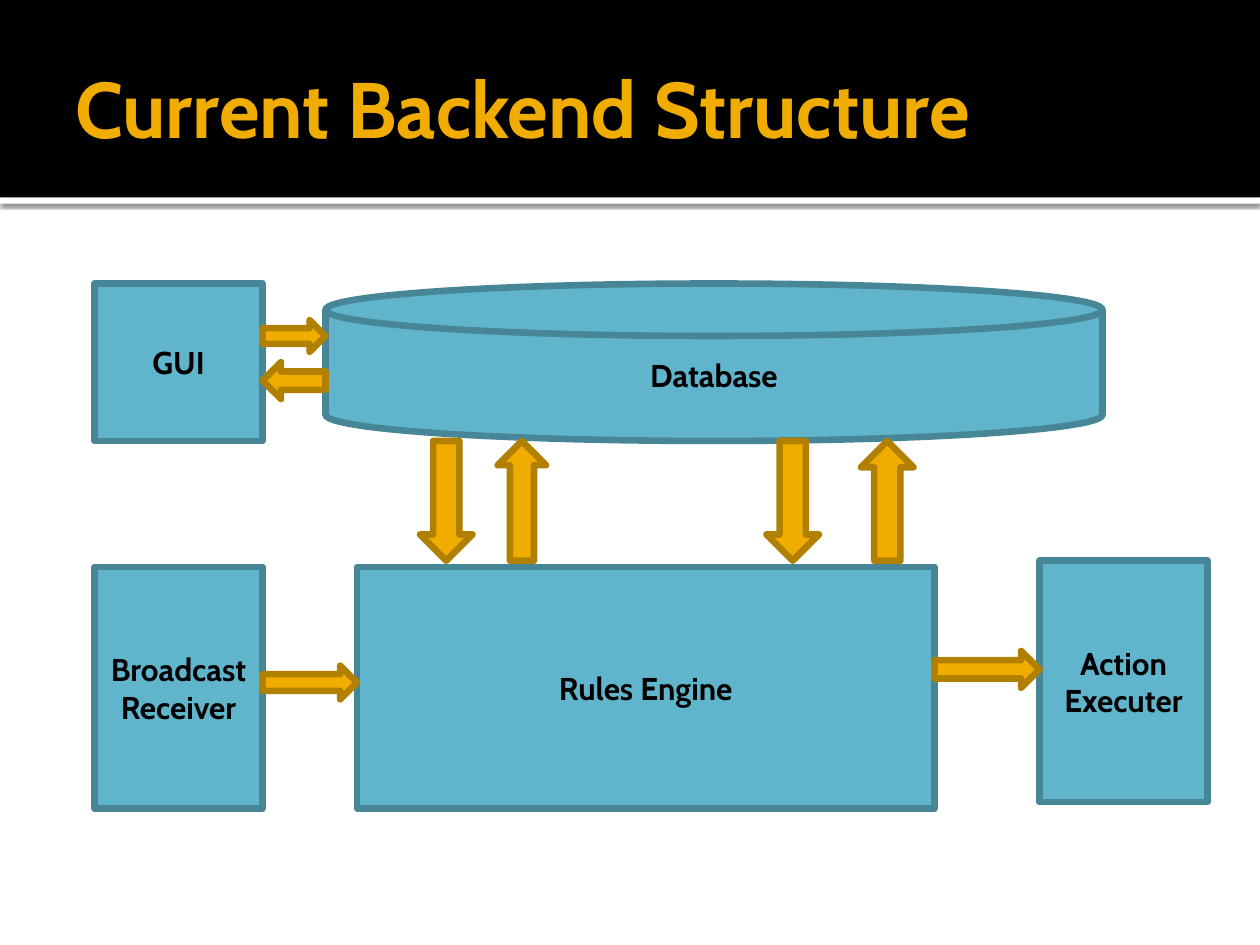
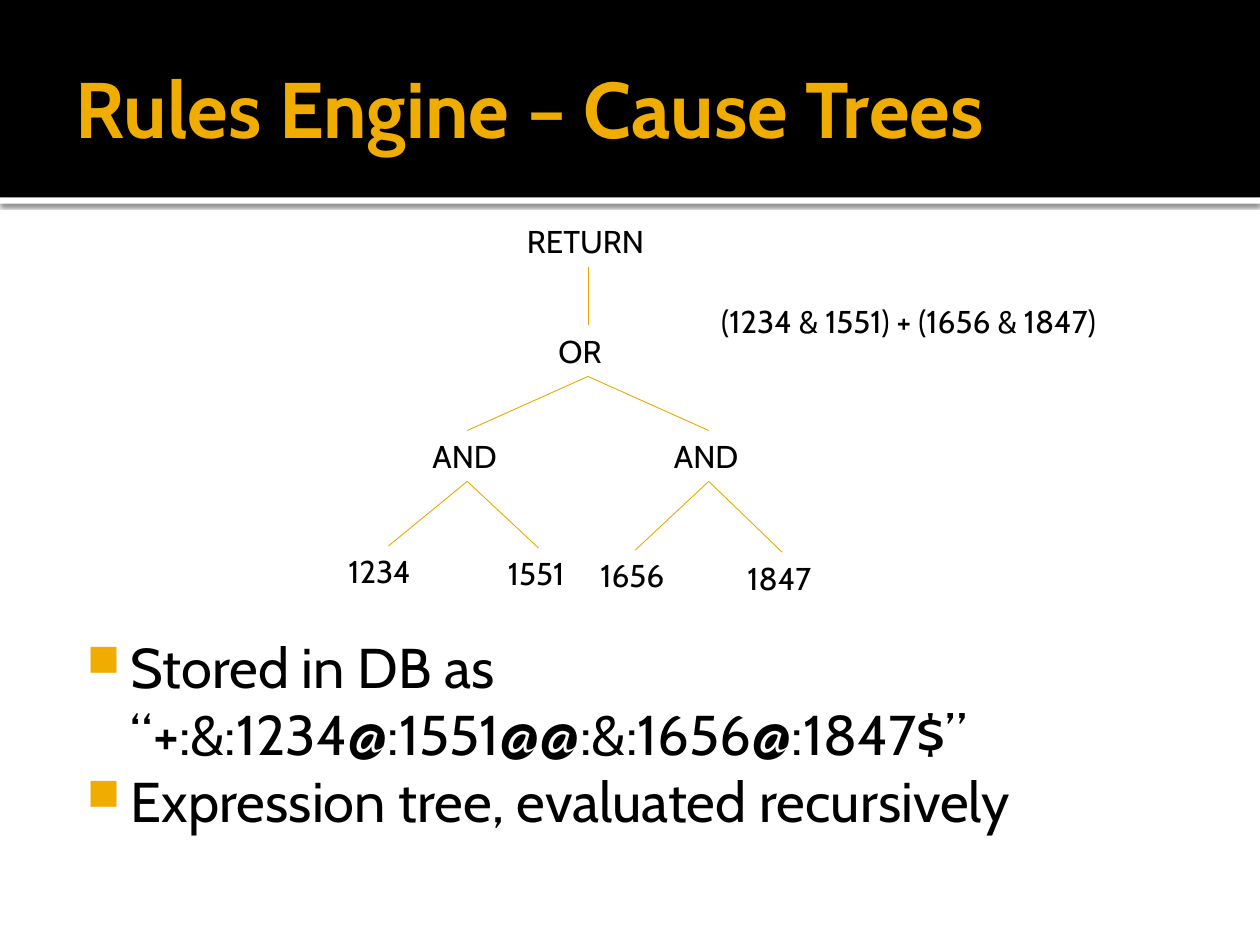
from lxml import etree
from pptx import Presentation
from pptx.dml.color import RGBColor
from pptx.enum.shapes import MSO_CONNECTOR, MSO_SHAPE
from pptx.enum.text import MSO_ANCHOR, MSO_AUTO_SIZE, PP_ALIGN
from pptx.oxml.ns import qn
from pptx.util import Inches, Pt

RECT, DISK = MSO_SHAPE.RECTANGLE, MSO_SHAPE.FLOWCHART_MAGNETIC_DISK
RIGHT, DOWN = MSO_SHAPE.RIGHT_ARROW, MSO_SHAPE.DOWN_ARROW
STRAIGHT = MSO_CONNECTOR.STRAIGHT
TOP, MIDDLE = MSO_ANCHOR.TOP, MSO_ANCHOR.MIDDLE
LEFT, CENTER = PP_ALIGN.LEFT, PP_ALIGN.CENTER
GROW = MSO_AUTO_SIZE.SHAPE_TO_FIT_TEXT

BLACK = RGBColor(0x00, 0x00, 0x00)
WHITE = RGBColor(0xFF, 0xFF, 0xFF)
GOLD = RGBColor(0xF0, 0xAD, 0x00)
DARK_GOLD = RGBColor(0xB2, 0x80, 0x00)
BRANCH = RGBColor(0xEB, 0xA9, 0x00)
BLUE = RGBColor(0x60, 0xB5, 0xCC)
DARK_BLUE = RGBColor(0x47, 0x86, 0x97)

prs = Presentation()
prs.slide_width, prs.slide_height = Inches(10), Inches(7.5)
CELL = prs.slide_width / 120  # grid of 120 columns by 90 rows
BAND = 18.8                   # rows in the title band
NODE = 4.85                   # rows in a tree label


def add_text(tf, *lines, size=18, bold=False, color=BLACK, align=LEFT,
             anchor=TOP, insets=(0.1, 0.05, 0.1, 0.05), bullet=False):
    tf.word_wrap = True
    tf.vertical_anchor = anchor
    tf.margin_left, tf.margin_top, tf.margin_right, tf.margin_bottom = map(Inches, insets)
    for i, line in enumerate(lines):
        p = tf.paragraphs[0] if i == 0 else tf.add_paragraph()
        p.alignment = align
        r = p.add_run()
        r.text = line
        r.font.name, r.font.size, r.font.bold = "Cabin", Pt(size), bold
        r.font.color.rgb = color
        if bullet:
            pPr = p._p.get_or_add_pPr()
            pPr.set("marL", str(Inches(0.48)))
            pPr.set("indent", str(Inches(-0.35)))
            clr = etree.SubElement(pPr, qn("a:buClr"))
            etree.SubElement(clr, qn("a:srgbClr"), val=str(GOLD))
            etree.SubElement(pPr, qn("a:buSzPct"), val="80000")
            etree.SubElement(pPr, qn("a:buChar"), char="■")


def add_shape(s, kind, box, fill, line=None):
    sp = s.shapes.add_shape(kind, *(round(v * CELL) for v in box))
    sp.shadow.inherit = False
    sp.fill.solid()
    sp.fill.fore_color.rgb = fill
    if line is None:
        sp.line.fill.background()
    else:
        sp.line.color.rgb = line
        sp.line.width = Pt(3.78)
    return sp


# Shared frame: white strip with a shadow, black band, title
slides = []
for title in ("Current Backend Structure", "Rules Engine – Cause Trees"):
    s = prs.slides.add_slide(prs.slide_layouts[6])
    s.background.fill.solid()
    s.background.fill.fore_color.rgb = WHITE
    strip = add_shape(s, RECT, (0, BAND, 120, 0.6), WHITE)
    effects = strip._element.spPr.find(qn("a:effectLst"))
    shadow = etree.SubElement(effects, qn("a:outerShdw"), blurRad=str(Pt(2.5)),
                              dist=str(Pt(0.8)), dir="5400000", rotWithShape="0")
    clr = etree.SubElement(shadow, qn("a:srgbClr"), val=str(BLACK))
    etree.SubElement(clr, qn("a:alpha"), val="60000")
    add_shape(s, RECT, (0, 0, 120, BAND), BLACK)
    tb = s.shapes.add_textbox(*(round(v * CELL) for v in (6, 2, 108, 16.4)))
    add_text(tb.text_frame, title, size=45, bold=True, color=GOLD, anchor=MIDDLE,
             insets=(0.1, 0.05, 0.05, 0.05))
    slides.append(s)
backend, trees = slides

# Backend: components
for label, kind, box in (
    ("GUI", RECT, (9, 27, 16, 15)),
    ("Broadcast Receiver", RECT, (9, 54, 16, 23)),
    ("Rules Engine", RECT, (34, 54, 55, 23)),
    ("Action Executer", RECT, (99, 53.4, 16, 23)),
    ("Database", DISK, (31, 27, 74, 15)),
):
    sp = add_shape(backend, kind, box, BLUE, DARK_BLUE)
    add_text(sp.text_frame, label, bold=True, align=CENTER, anchor=MIDDLE)

# Backend: data flow
for kind, turn, box in (
    (RIGHT, 0, (25, 30.5, 6, 3)),
    (RIGHT, 180, (25, 34.5, 6, 3.5)),
    (DOWN, 0, (40, 42, 5, 11.4)),
    (DOWN, 180, (47.4, 42, 4.6, 11.4)),
    (DOWN, 0, (73, 42, 5, 11.4)),
    (DOWN, 180, (82, 42, 5, 11.4)),
    (RIGHT, 0, (89, 62, 10, 3.5)),
    (RIGHT, 0, (25, 63.4, 9, 3.2)),
):
    add_shape(backend, kind, box, GOLD, DARK_GOLD).rotation = turn

# Cause trees: bullets
tb = trees.shapes.add_textbox(*(round(v * CELL) for v in (6, 59, 108, 24.7)))
add_text(tb.text_frame, "Stored in DB as “+:&:1234@:1551@@:&:1656@:1847$”",
         "Expression tree, evaluated recursively", size=32, bullet=True,
         insets=(0.06, 0.1, 0.1, 0.05))

# Cause trees: label, column, row, columns wide, index of the parent
nodes = (
    ("RETURN", 49, 20.6, 14, None),
    ("OR", 52, 31, 8, 0),
    ("AND", 40, 41, 9, 1),
    ("AND", 63, 41, 9, 1),
    ("1234", 32, 52, 10, 2),
    ("1551", 47.2, 52.2, 8.2, 2),
    ("1656", 56, 52.4, 9, 3),
    ("1847", 70, 52.6, 9, 3),
    ("(1234 & 1551) + (1656 & 1847)", 67.5, 28.2, 39.5, None),
)
for label, x, y, w, parent in nodes:
    tb = trees.shapes.add_textbox(*(round(v * CELL) for v in (x, y, w, NODE)))
    add_text(tb.text_frame, label)
    tb.text_frame.auto_size = GROW

# Cause trees: a branch from each parent's foot to the child's head
for label, x, y, w, parent in nodes:
    if parent is None:
        continue
    _, px, py, pw, _ = nodes[parent]
    ends = (px + pw / 2, py + NODE, x + w / 2, y)
    cn = trees.shapes.add_connector(STRAIGHT, *(round(v * CELL) for v in ends))
    cn.line.color.rgb = BRANCH
    cn.line.width = Pt(0.5)
    etree.SubElement(cn._element.spPr, qn("a:effectLst"))

prs.save("out.pptx")
